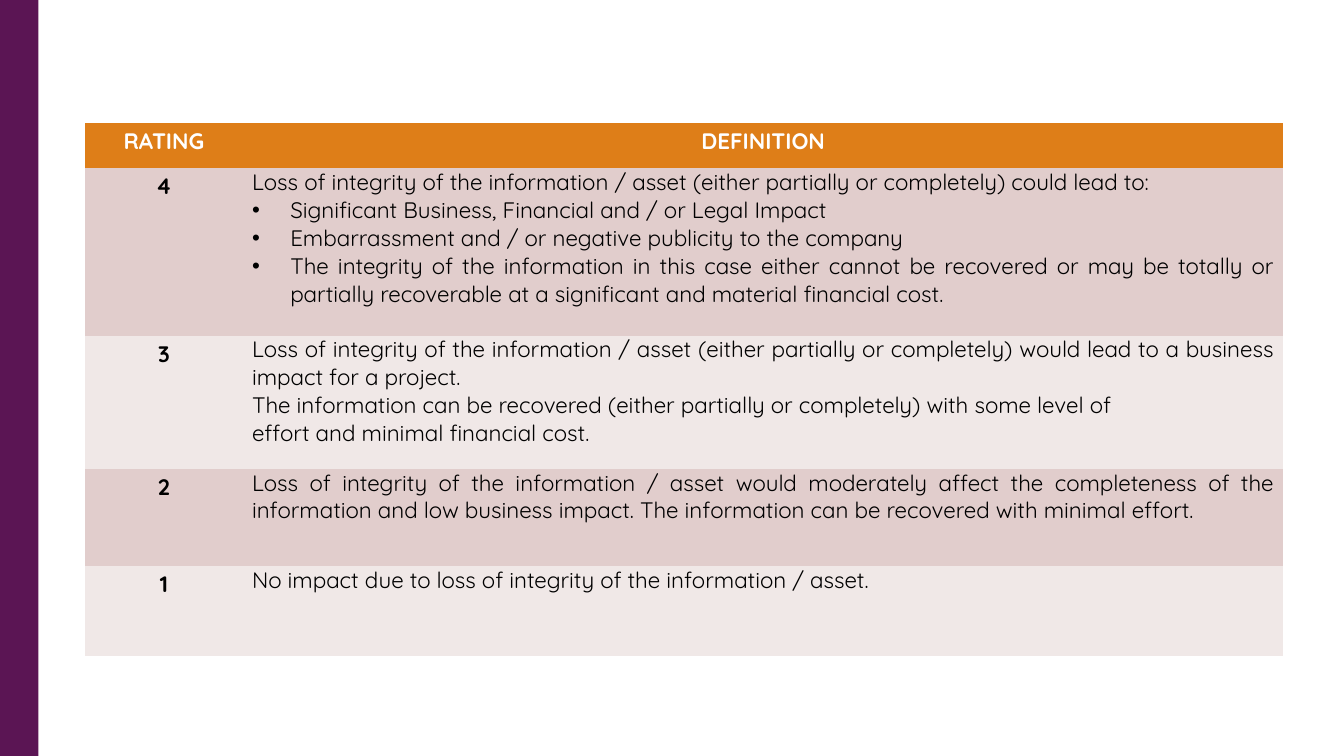
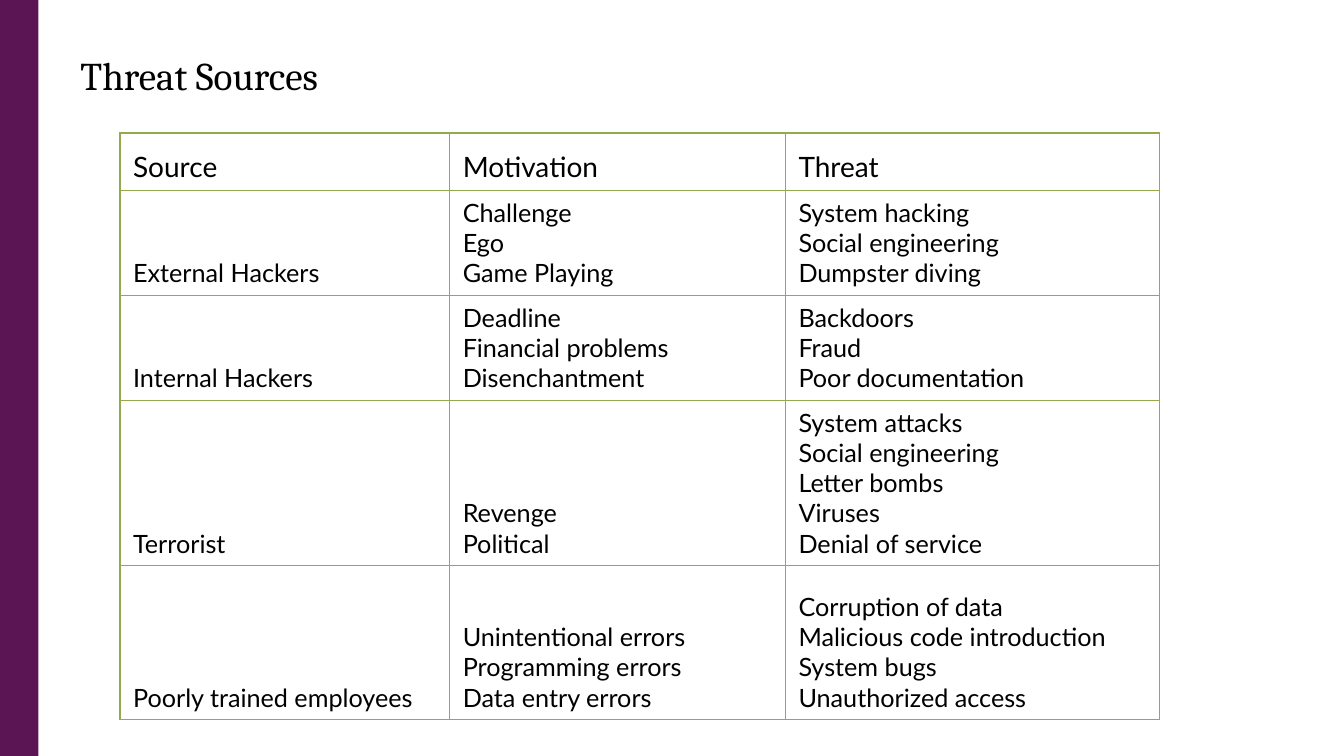
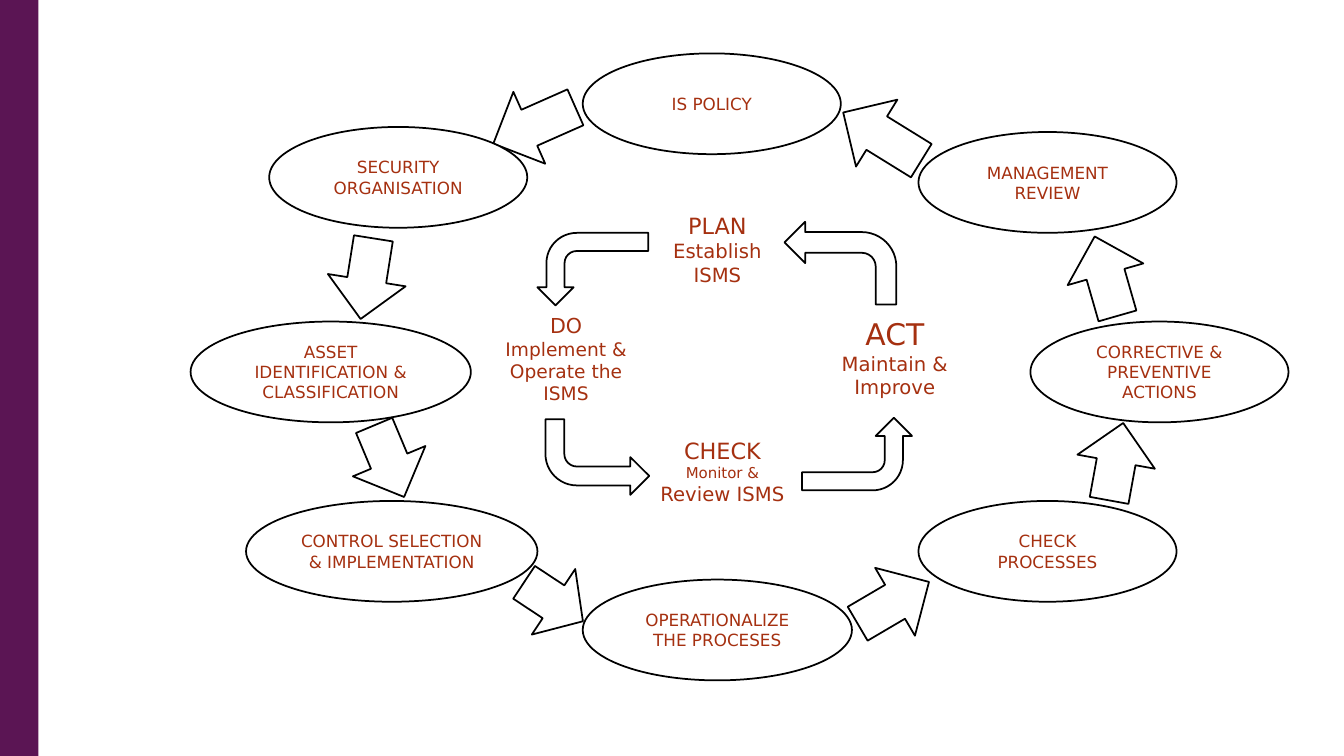
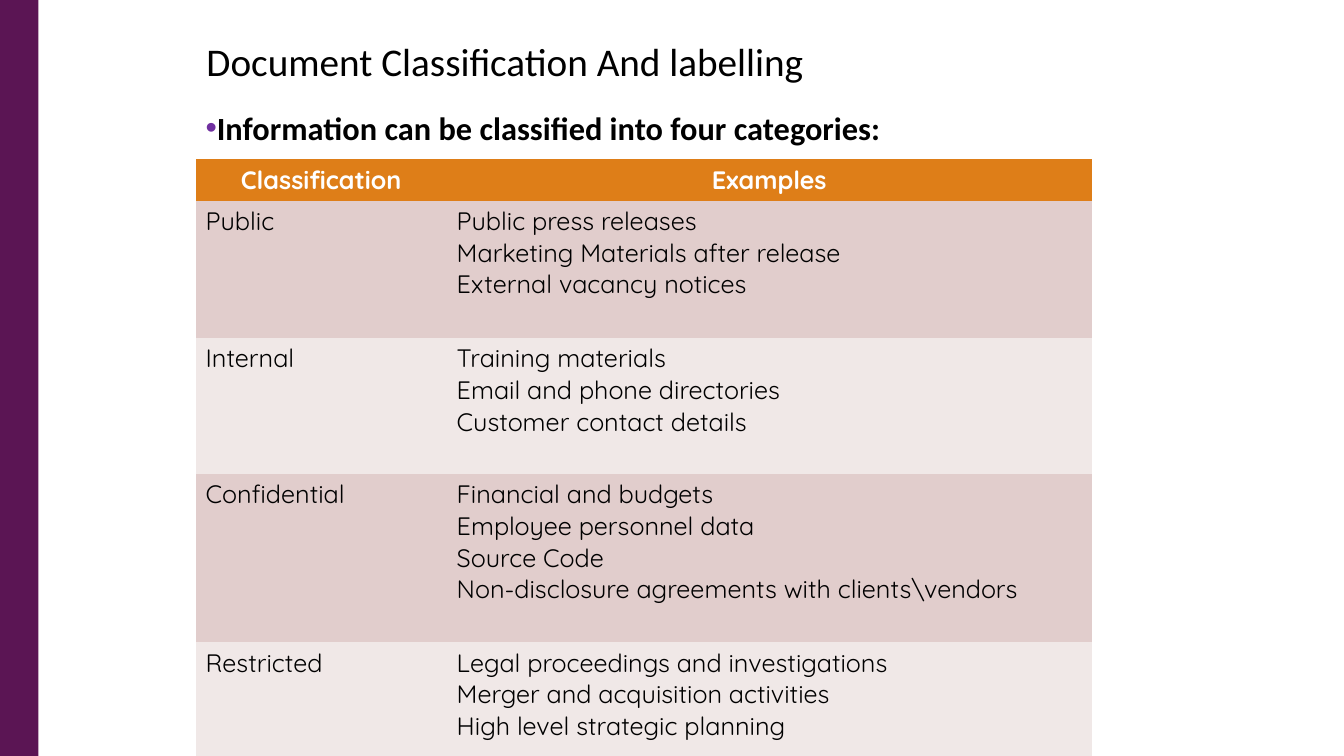
import lxml.etree
import pptx
import pptx.dml.color
import pptx.enum.shapes
import pptx.enum.text
import pptx.oxml.ns
import pptx.util

Inches = pptx.util.Inches
Pt = pptx.util.Pt
qn = pptx.oxml.ns.qn
SHAPE = pptx.enum.shapes.MSO_SHAPE
ANCHOR = pptx.enum.text.MSO_ANCHOR
ALIGN = pptx.enum.text.PP_ALIGN

PLAIN_TABLE = "{2D5ABB26-0587-4C30-8999-92F81FD0307C}"


def rgb(hex_text):
    return pptx.dml.color.RGBColor.from_string(hex_text)


def sub(parent, tag, **attrs):
    return lxml.etree.SubElement(parent, qn(tag), attrs)


def add_bullet(p, hang, color=None):
    pPr = p._p.get_or_add_pPr()
    pPr.set("marL", str(Inches(hang)))
    pPr.set("indent", str(-Inches(hang)))
    if color:
        sub(sub(pPr, "a:buClr"), "a:srgbClr", val=color)
    sub(pPr, "a:buFont", typeface="Arial")
    sub(pPr, "a:buChar", char="•")


def add_borders(cell, color, width):
    tcPr = cell._tc.get_or_add_tcPr()
    for i, side in enumerate(("a:lnL", "a:lnR", "a:lnT", "a:lnB")):
        ln = lxml.etree.Element(qn(side), w=str(Pt(width)))
        sub(sub(ln, "a:solidFill"), "a:srgbClr", val=color)
        tcPr.insert(i, ln)


class Deck:
    BLACK, WHITE = "000000", "FFFFFF"
    SIDE, HEADER, RUST, RULE = "5B1554", "DE7E18", "A53010", "92AA4C"
    BANDS = ("E1CDCC", "F0E8E7")
    TABLE_FONT, GRID_FONT, CYCLE_FONT = "Quicksand", "Lato", "DejaVu Sans"

    def __init__(self):
        self.prs = pptx.Presentation()
        self.prs.slide_width = Inches(13.33)
        self.prs.slide_height = Inches(7.5)
        self.slide = None

    def new_slide(self):
        """Start a slide with the side band."""
        self.slide = self.prs.slides.add_slide(self.prs.slide_layouts[6])
        self.shape(SHAPE.RECTANGLE, 0, 0, 0.38, 7.5, fill=self.SIDE)

    def shape(self, kind, x, y, w, h, rot=0, fill=WHITE, line=None):
        s = self.slide.shapes.add_shape(kind, Inches(x), Inches(y), Inches(w), Inches(h))
        s.shadow.inherit = False
        s.rotation = rot
        s.fill.solid()
        s.fill.fore_color.rgb = rgb(fill)
        if line:
            s.line.color.rgb = rgb(line)
            s.line.width = Pt(1.25)
        else:
            s.line.fill.background()
        return s

    def fill_text(self, tf, lines, font, size, color=BLACK, bold=False, align=ALIGN.LEFT, spacing=None):
        """Fill a text frame; a line is text or (text, size), and a leading • makes a bullet."""
        for i, line in enumerate(lines):
            text, pt = line if isinstance(line, tuple) else (line, size)
            p = tf.add_paragraph() if i else tf.paragraphs[0]
            p.text = text.lstrip("•")
            p.alignment = align
            if spacing:
                p.line_spacing = spacing
            p.font.name, p.font.size, p.font.bold = font, Pt(pt), bold
            p.font.color.rgb = rgb(color)
            if text.startswith("•"):
                add_bullet(p, 0.38)

    def text(self, x, y, w, h, lines, font, size, wrap=True, anchor=ANCHOR.TOP, **style):
        tf = self.slide.shapes.add_textbox(Inches(x), Inches(y), Inches(w), Inches(h)).text_frame
        tf.word_wrap = wrap
        tf.vertical_anchor = anchor
        self.fill_text(tf, lines, font, size, **style)
        return tf

    def title(self, x, y, text, font):
        self.text(x, y, 10, 0.6, [text], font, 28)

    def stage(self, x, y, w, h, lines):
        """One step of the inner cycle."""
        self.text(x, y, w, h, lines, self.CYCLE_FONT, 14, wrap=False,
                  anchor=ANCHOR.MIDDLE, color=self.RUST, align=ALIGN.CENTER)

    def oval(self, x, y, w, text):
        s = self.shape(SHAPE.OVAL, x, y, w, 1, line=self.BLACK)
        s.text_frame.vertical_anchor = ANCHOR.MIDDLE
        s.text_frame.word_wrap = True
        self.fill_text(s.text_frame, [text], self.CYCLE_FONT, 12, color=self.RUST, align=ALIGN.CENTER)

    def block_arrow(self, x, y, h, rot):
        self.shape(SHAPE.DOWN_ARROW, x, y, 0.78, h, rot, line=self.BLACK)

    def bent_arrow(self, x, y, w, h, rot):
        s = self.shape(SHAPE.BENT_ARROW, x, y, w, h, rot, line=self.BLACK)
        s.adjustments[3] = 0.417
        s._element.spPr.find(qn("a:xfrm")).set("flipV", "1")

    def table(self, x, y, cols, heights, inset):
        frame = self.slide.shapes.add_table(len(heights), len(cols), Inches(x), Inches(y),
                                            Inches(sum(cols)), Inches(sum(heights)))
        table = frame.table
        table.horz_banding = False
        table._tbl.tblPr.find(qn("a:tableStyleId")).text = PLAIN_TABLE
        for col, width in zip(table.columns, cols):
            col.width = Inches(width)
        for row, height in zip(table.rows, heights):
            row.height = Inches(height)
        for cell in table.iter_cells():
            cell.margin_left = cell.margin_right = Inches(inset[0])
            cell.margin_top = cell.margin_bottom = Inches(inset[1])
        return table

    def banded_table(self, x, y, cols, heights, header, rows, size, inset, key, body, header_spacing=None):
        """Header row over two alternating fills; key and body style the two columns."""
        table = self.table(x, y, cols, heights, inset)
        for c, text in enumerate(header):
            cell = table.cell(0, c)
            cell.fill.solid()
            cell.fill.fore_color.rgb = rgb(self.HEADER)
            self.fill_text(cell.text_frame, [text], self.TABLE_FONT, size, color=self.WHITE,
                           bold=True, align=ALIGN.CENTER, spacing=header_spacing)
        for r, (label, lines) in enumerate(rows, 1):
            for c, (content, style) in enumerate((([label], key), (lines, body))):
                cell = table.cell(r, c)
                cell.fill.solid()
                cell.fill.fore_color.rgb = rgb(self.BANDS[(r - 1) % 2])
                self.fill_text(cell.text_frame, content, self.TABLE_FONT, size, **style)

    def ruled_table(self, x, y, cols, heights, rows):
        table = self.table(x, y, cols, heights, (0.13, 0.07))
        for r, row in enumerate(rows):
            for c, lines in enumerate(row):
                cell = table.cell(r, c)
                cell.fill.background()
                cell.vertical_anchor = ANCHOR.BOTTOM
                add_borders(cell, self.RULE, 1)
                self.fill_text(cell.text_frame, lines, self.GRID_FONT, 18 if r else 20)


def integrity_ratings(deck):
    deck.new_slide()
    rows = [
        ("4", ["Loss of integrity of the information / asset (either partially or completely) could lead to:",
               "•Significant Business, Financial and / or Legal Impact",
               "•Embarrassment and / or negative publicity to the company",
               "•The integrity of the information in this case either cannot be recovered or may be totally "
               "or partially recoverable at a significant and material financial cost."]),
        ("3", ["Loss of integrity of the information / asset (either partially or completely) would lead "
               "to a business impact for a project.",
               "The information can be recovered (either partially or completely) with some level of",
               "effort and minimal financial cost."]),
        ("2", ["Loss of integrity of the information / asset would moderately affect the completeness of "
               "the information and low business impact. The information can be recovered with minimal effort."]),
        ("1", ["No impact due to loss of integrity of the information / asset."]),
    ]
    deck.banded_table(0.84, 1.22, [1.57, 10.32], [0.45, 1.66, 1.32, 0.97, 0.89],
                      ["RATING", "DEFINITION"], rows, 16, (0.09, 0),
                      key=dict(bold=True, align=ALIGN.CENTER, spacing=1.15),
                      body=dict(align=ALIGN.JUSTIFY), header_spacing=1.15)


def threat_sources(deck):
    deck.new_slide()
    deck.title(0.7, 0.46, "Threat Sources", "Cambria")
    rows = [
        (["Source"], ["Motivation"], ["Threat"]),
        (["External Hackers"],
         ["Challenge", "Ego", "Game Playing"],
         ["System hacking", "Social engineering", "Dumpster diving"]),
        (["Internal Hackers"],
         ["Deadline", "Financial problems", "Disenchantment"],
         ["Backdoors", "Fraud", "Poor documentation"]),
        (["Terrorist"],
         ["Revenge", "Political"],
         ["System attacks", "Social engineering", "Letter bombs", "Viruses", "Denial of service"]),
        (["Poorly trained employees"],
         ["Unintentional errors", "Programming errors", "Data entry errors"],
         ["Corruption of data", "Malicious code introduction", "System bugs", "Unauthorized access"]),
    ]
    deck.ruled_table(1.19, 1.32, [3.27, 3.33, 3.71], [0.57, 1.03, 1.03, 1.63, 1.53], rows)


def isms_cycle(deck):
    deck.new_slide()
    deck.stage(6.47, 2.08, 1.29, 0.78, [("PLAN", 16), "Establish", "ISMS"])
    deck.stage(6.44, 4.26, 1.45, 0.83, [("CHECK", 16), ("Monitor &", 10.7), "Review ISMS"])
    deck.stage(8.2, 3.03, 1.35, 1.03, [("ACT", 21.3), "Maintain &", "Improve"])
    deck.stage(4.91, 3.03, 1.41, 1.06,
               [("DO", 14.7), ("Implement &", 13.3), ("Operate the", 13.3), ("ISMS", 13.3)])
    for x, y, w, h, rot in [(5.52, 2.12, 0.72, 1.1, 90), (7.78, 2.2, 1.11, 0.82, 180),
                            (5.41, 4.16, 1.03, 0.75, 0), (8.14, 3.96, 0.72, 1.09, 270)]:
        deck.bent_arrow(x, y, w, h, rot)
    for x, y, w, text in [(5.78, 0.53, 2.56, "IS POLICY"),
                          (1.89, 3.19, 2.78, "ASSET IDENTIFICATION & CLASSIFICATION"),
                          (2.44, 4.97, 2.89, "CONTROL SELECTION & IMPLEMENTATION"),
                          (5.78, 5.75, 2.67, "OPERATIONALIZE THE PROCESES"),
                          (9.11, 1.31, 2.56, "MANAGEMENT REVIEW"),
                          (10.22, 3.19, 2.56, "CORRECTIVE & PREVENTIVE ACTIONS"),
                          (9.11, 4.97, 2.56, "CHECK PROCESSES")]:
        deck.oval(x, y, w, text)
    for x, y, h, rot in [(4.91, 0.8, 0.89, 66.1), (3.25, 2.36, 0.81, 9),
                         (3.47, 4.19, 0.77, 337.3), (5.1, 5.62, 0.7, 303.5),
                         (8.47, 5.57, 0.82, 239.6), (10.68, 4.19, 0.78, 190.3),
                         (10.58, 2.33, 0.82, 164), (8.36, 0.9, 0.91, 121.7)]:
        deck.block_arrow(x, y, h, rot)
    deck.oval(2.67, 1.26, 2.56, "SECURITY ORGANISATION")


def document_classification(deck):
    deck.new_slide()
    deck.title(1.95, 0.32, "Document Classification And labelling", "Calibri")
    tf = deck.text(1.94, 1.02, 10.64, 0.43, ["Information can be classified into four categories:"],
                   "Calibri", 23.1, bold=True)
    add_bullet(tf.paragraphs[0], 0.11, "7030A0")
    rows = [
        ("Public", ["Public press releases", "Marketing Materials after release", "External vacancy notices"]),
        ("Internal", ["Training materials", "Email and phone directories", "Customer contact details"]),
        ("Confidential", ["Financial and budgets", "Employee personnel data", "Source Code",
                          "Non-disclosure agreements with clients\\vendors"]),
        ("Restricted", ["Legal proceedings and investigations", "Merger and acquisition activities",
                        "High level strategic planning"]),
    ]
    deck.banded_table(1.94, 1.58, [2.49, 6.4], [0.41, 1.36, 1.35, 1.67, 1.13],
                      ["Classification", "Examples"], rows, 18, (0.1, 0.05), key={}, body={})


def main():
    deck = Deck()
    integrity_ratings(deck)
    threat_sources(deck)
    isms_cycle(deck)
    document_classification(deck)
    deck.prs.save("out.pptx")


if __name__ == "__main__":
    main()
